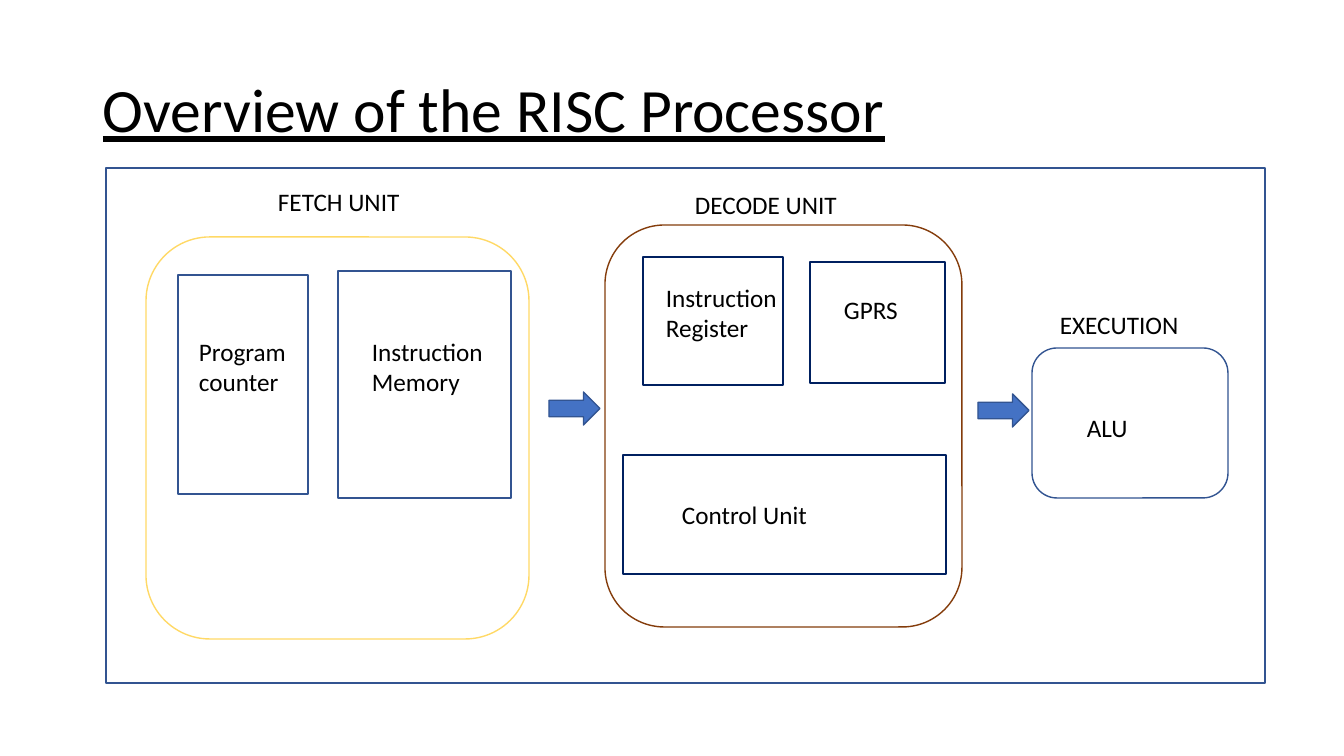
from pptx import Presentation
from pptx.dml.color import RGBColor
from pptx.enum.shapes import MSO_SHAPE
from pptx.enum.text import MSO_ANCHOR
from pptx.util import Emu, Pt

SCALE = 914400 / 100.8  # EMU per pixel
FONT = "Calibri"
WHITE = RGBColor(0xFF, 0xFF, 0xFF)
BLACK = RGBColor(0, 0, 0)
BLUE = RGBColor(0x44, 0x72, 0xC4)
DARK_BLUE = RGBColor(0x32, 0x54, 0x91)
NAVY = RGBColor(0x00, 0x20, 0x60)
GOLD = RGBColor(0xFF, 0xD9, 0x66)
BROWN = RGBColor(0x84, 0x3C, 0x0B)


def px(*lengths):
    return [Emu(round(length * SCALE)) for length in lengths]


def inside(box, dx, dy, width, height):
    """Box placed relative to the top left corner of another."""
    return box[0] + dx, box[1] + dy, width, height


def add_block(slide, box, line, kind=MSO_SHAPE.RECTANGLE, fill=WHITE):
    block = slide.shapes.add_shape(kind, *px(*box))
    block.shadow.inherit = False
    block.fill.solid()
    block.fill.fore_color.rgb = fill
    block.line.color.rgb = line
    block.line.width = Pt(1)


def add_run(paragraph, text, size=18):
    run = paragraph.add_run()
    run.text = text
    run.font.name = FONT
    run.font.size = Pt(size)
    run.font.color.rgb = BLACK
    return run


def add_label(slide, box, *lines):
    """Text box with one paragraph per line; returns its first paragraph."""
    frame = slide.shapes.add_textbox(*px(*box)).text_frame
    frame.word_wrap = True
    for index, line in enumerate(lines):
        paragraph = frame.add_paragraph() if index else frame.paragraphs[0]
        add_run(paragraph, line)
    return frame.paragraphs[0]


def draw_title(slide, box):
    frame = slide.shapes.add_textbox(*px(*box)).text_frame
    frame.word_wrap = True
    frame.vertical_anchor = MSO_ANCHOR.MIDDLE
    heading = frame.paragraphs[0]
    heading.line_spacing = 0.9
    add_run(heading, "Overview of the RISC Processor", 44).font.underline = True


def draw_fetch_unit(slide, box):
    add_block(slide, box, GOLD, MSO_SHAPE.ROUNDED_RECTANGLE)
    add_label(slide, inside(box, 122, -56, 153, 40), "FETCH UNIT")
    # Program counter
    add_block(slide, inside(box, 32, 38, 130, 219), DARK_BLUE)
    counter = add_label(slide, inside(box, 43, 94, 130, 72), "Program")
    add_run(counter, " ", 12)
    add_run(counter, "counter")
    # Instruction memory
    add_block(slide, inside(box, 192, 34, 173, 227), DARK_BLUE)
    add_label(slide, inside(box, 216, 94, 136, 72), "Instruction", "Memory")


def draw_decode_unit(slide, box):
    add_block(slide, box, BROWN, MSO_SHAPE.ROUNDED_RECTANGLE)
    add_label(slide, inside(box, 80, -41, 204, 40), "DECODE UNIT")
    # Instruction register
    add_block(slide, inside(box, 38, 32, 140, 128), NAVY)
    register = add_label(slide, inside(box, 51, 52, 135, 72), "Instruction")
    register.add_line_break()
    add_run(register, "Register")
    # General purpose registers
    add_block(slide, inside(box, 205, 37, 135, 121), NAVY)
    add_label(slide, inside(box, 229, 64, 129, 40), "GPRS")
    # Control unit
    add_block(slide, inside(box, 18, 230, 323, 119), NAVY)
    add_label(slide, inside(box, 67, 269, 276, 40), "Control Unit")


def draw_execution(slide, box):
    add_block(slide, box, DARK_BLUE, MSO_SHAPE.ROUNDED_RECTANGLE)
    add_label(slide, inside(box, 18, -44, 160, 40), "EXECUTION")
    add_label(slide, inside(box, 45, 59, 132, 40), "ALU")


def draw_processor(slide, box):
    add_block(slide, box, DARK_BLUE)
    draw_fetch_unit(slide, inside(box, 40, 69, 383, 402))
    draw_decode_unit(slide, inside(box, 499, 57, 357, 402))
    draw_execution(slide, inside(box, 926, 180, 196, 150))
    # Arrows between the stages
    for dx, dy in ((443, 224), (872, 226)):
        add_block(slide, inside(box, dx, dy, 51, 33), DARK_BLUE,
                  MSO_SHAPE.RIGHT_ARROW, BLUE)


deck = Presentation()
deck.slide_width, deck.slide_height = px(1344, 756)
overview = deck.slides.add_slide(deck.slide_layouts[6])
draw_title(overview, (93, 40, 1159, 146))
draw_processor(overview, (106, 168, 1159, 515))
deck.save("out.pptx")
